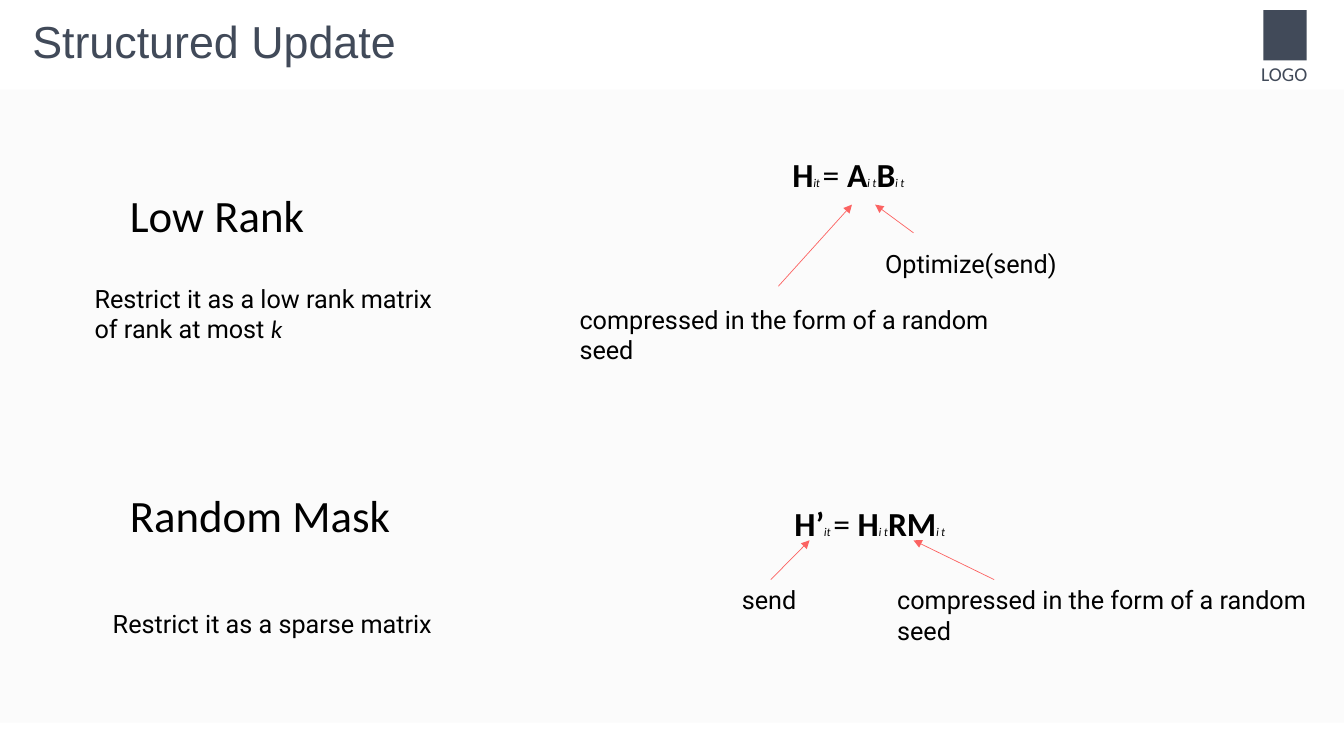
"""Build the Structured Update slide."""
from lxml.etree import SubElement
from pptx import Presentation
from pptx.dml.color import RGBColor
from pptx.enum.shapes import MSO_CONNECTOR as Connector, MSO_SHAPE as Shape
from pptx.enum.text import MSO_ANCHOR as Anchor, MSO_AUTO_SIZE as AutoSize, PP_ALIGN as Align
from pptx.oxml.ns import qn
from pptx.util import Pt

EMU_PER_PX = 9144
SLATE, BLACK, CORAL, PALE = "414A59", "000000", "FB6362", "F2F2F2"
SEED_NOTE = "compressed in the form of a random seed"


def px(length):
    """Turn a length in px, 100 to the inch, into EMU."""
    return length * EMU_PER_PX


def color(hex_string):
    """Return the colour for a hex string."""
    return RGBColor.from_string(hex_string)


def set_font(font, name, size, fill=BLACK, bold=False, italic=False):
    """Set the face, size, colour and style of a font."""
    font.name, font.size = name, Pt(size)
    font.bold, font.italic = bold, italic
    font.color.rgb = color(fill)


def add_rectangle(slide, left, top, width, height, fill, opacity=100):
    """Add a plain rectangle without outline."""
    shape = slide.shapes.add_shape(Shape.RECTANGLE, px(left), px(top), px(width), px(height))
    shape.shadow.inherit = False
    shape.fill.solid()
    shape.fill.fore_color.rgb = color(fill)
    shape.line.fill.background()
    if opacity < 100:
        fill_color = shape.fill._xPr.find(qn("a:solidFill"))[0]
        SubElement(fill_color, qn("a:alpha"), val=str(opacity * 1000))


def add_box(slide, left, top, width, height):
    """Add an empty wrapping text box."""
    shape = slide.shapes.add_textbox(px(left), px(top), px(width), px(height))
    shape.text_frame.word_wrap = True
    return shape


def add_label(slide, text, left, top, width, height, name="Roboto", size=18, fill=BLACK):
    """Add a text box in a single font."""
    shape = add_box(slide, left, top, width, height)
    paragraph = shape.text_frame.paragraphs[0]
    paragraph.text = text
    set_font(paragraph.font, name, size, fill)
    return shape


def add_mixed_text(slide, runs, left, top, width, height):
    """Add a text box whose runs each have a style of their own."""
    styles = {
        "matrix": ("Calibri", 24, BLACK, True),
        "index": ("Lato", 8, BLACK, False, True),
        "sign": ("Calibri", 24),
        "body": ("Roboto", 18),
        "variable": ("Calibri", 18, BLACK, False, True),
    }
    paragraph = add_box(slide, left, top, width, height).text_frame.paragraphs[0]
    for text, style in runs:
        run = paragraph.add_run()
        run.text = text
        set_font(run.font, *styles[style])


def add_formula(slide, result, first, second, left, top, width):
    """Add a formula giving a matrix as a product of two others."""
    runs = [(result, "matrix"), ("it ", "index"), ("= ", "sign"),
            (first, "matrix"), ("i t", "index"),
            (second, "matrix"), ("i t", "index")]
    add_mixed_text(slide, runs, left, top, width, 81)


def add_arrow(slide, start_x, start_y, end_x, end_y):
    """Add a thin coral arrow."""
    connector = slide.shapes.add_connector(
        Connector.STRAIGHT, px(start_x), px(start_y), px(end_x), px(end_y))
    connector.line.color.rgb = color(CORAL)
    connector.line.width = Pt(0.5)
    SubElement(connector.line._get_or_add_ln(), qn("a:tailEnd"), type="triangle")
    SubElement(connector._element.spPr, qn("a:effectLst"))
    return connector


def set_title(slide, text):
    """Place and format the title."""
    title = slide.shapes.title
    title.left, title.top, title.width, title.height = px(22), px(9), px(554), px(64)
    frame = title.text_frame
    frame.text = text
    frame.auto_size = AutoSize.NONE
    frame.vertical_anchor = Anchor.TOP
    paragraph = frame.paragraphs[0]
    paragraph.alignment = Align.LEFT
    set_font(paragraph.font, "Arial", 32, SLATE)


def add_low_rank(slide):
    """Add the low rank half."""
    add_label(slide, "Low Rank", 119, 181, 248, 64, "Calibri", 32)
    add_mixed_text(slide, [("Restrict it as a low rank matrix of rank at most ", "body"),
                           ("k", "variable")], 84, 276, 383, 101)
    add_formula(slide, "H", "A", "B", 776, 148, 151)
    add_label(slide, "Optimize(send)", 868, 241, 217, 71)
    add_label(slide, SEED_NOTE, 565, 297, 453, 71)
    add_arrow(slide, 906, 231, 868, 203)
    add_arrow(slide, 772, 284, 845, 203)


def add_random_mask(slide):
    """Add the random mask half."""
    add_label(slide, "Random Mask", 119, 479, 361, 64, "Calibri", 32)
    add_label(slide, "Restrict it as a sparse matrix", 102, 599, 340, 71)
    add_formula(slide, "H’", "H", "RM", 778, 494, 218)
    add_label(slide, SEED_NOTE, 880, 575, 453, 71)
    send = add_label(slide, "send", 726, 575, 77, 40)
    add_arrow(slide, 986, 575, 906, 536)
    add_arrow(slide, 765, 575, 803, 536).begin_connect(send, 0)


def main():
    """Build and save the slide."""
    presentation = Presentation()
    presentation.slide_width, presentation.slide_height = px(1333), px(750)
    slide = presentation.slides.add_slide(presentation.slide_layouts[5])
    set_title(slide, "Structured Update")
    add_rectangle(slide, 0, 89, 1333, 628, PALE, 30)
    add_rectangle(slide, 1253, 10, 43, 50, SLATE)
    add_label(slide, "LOGO", 1241, 57, 66, 34, "Calibri", 14, SLATE).text_frame.word_wrap = False
    add_low_rank(slide)
    add_random_mask(slide)
    presentation.save("out.pptx")


if __name__ == "__main__":
    main()
